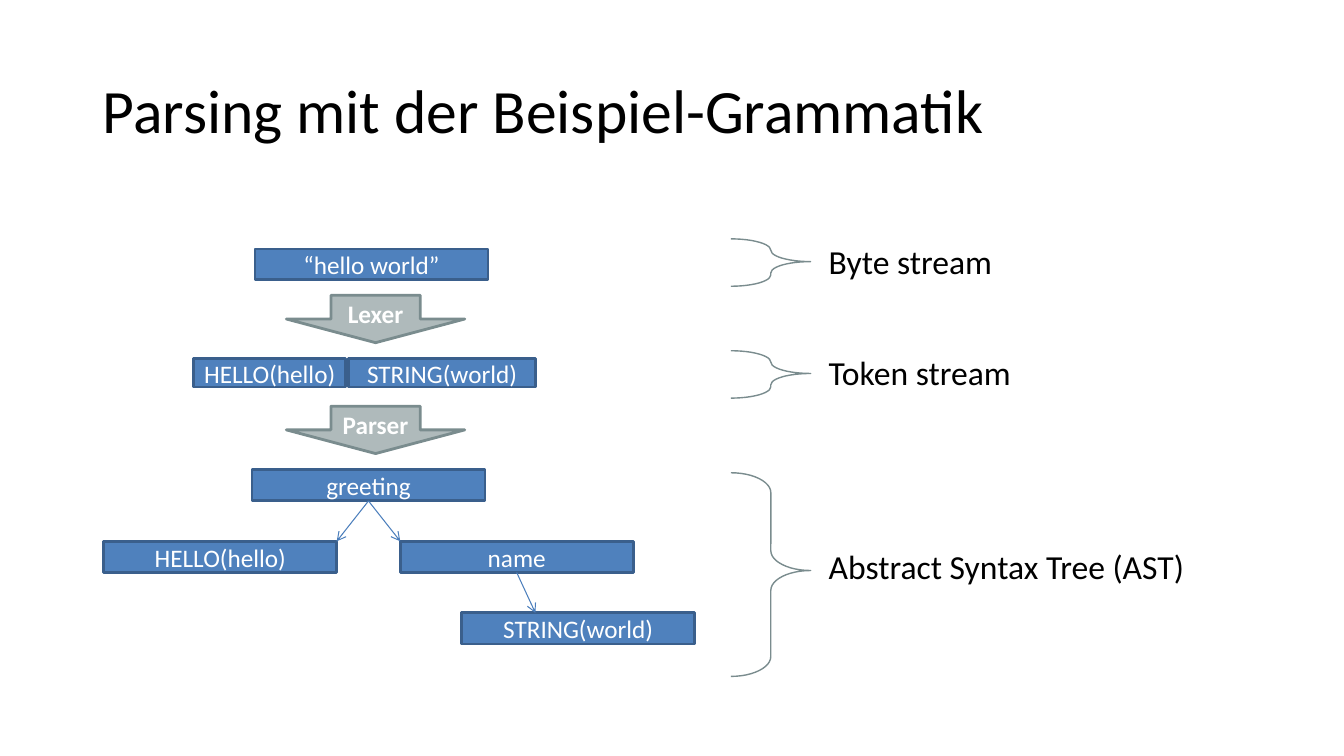
from dataclasses import dataclass

from lxml import etree
from pptx import Presentation
from pptx.dml.color import RGBColor
from pptx.enum.shapes import MSO_CONNECTOR, MSO_SHAPE
from pptx.enum.text import MSO_ANCHOR, PP_ALIGN
from pptx.oxml.ns import qn
from pptx.shapes.autoshape import Shape
from pptx.slide import Slide
from pptx.util import Inches, Pt

RECT = MSO_SHAPE.RECTANGLE
DOWN = MSO_SHAPE.DOWN_ARROW
BRACE = MSO_SHAPE.RIGHT_BRACE
STRAIGHT = MSO_CONNECTOR.STRAIGHT
TOP, MIDDLE = MSO_ANCHOR.TOP, MSO_ANCHOR.MIDDLE
LEFT, CENTER = PP_ALIGN.LEFT, PP_ALIGN.CENTER
BOTTOM_SITE = 2
COLS, ROWS = 133.3, 75
UNIT = Inches(0.1)


@dataclass(frozen=True)
class Theme:
    font: str = "Calibri"
    ink: str = "000000"
    white: str = "FFFFFF"
    blue: str = "4F81BD"
    navy: str = "3A5F8C"
    link: str = "4B7EBC"
    gray: str = "AFBABB"
    slate: str = "7A8C8E"
    title: int = 44
    label: int = 24
    node: int = 18
    edge: float = 2
    curve: float = 1
    thin: float = 0.75


@dataclass(frozen=True)
class Area:
    col: float
    row: float
    wide: float
    high: float


@dataclass(frozen=True)
class Node:
    text: str
    area: Area


@dataclass(frozen=True)
class Stage:
    text: str
    label: Area
    row: float
    high: float


@dataclass(frozen=True)
class Link:
    start: int
    col: float
    row: float


THEME = Theme()
WIDE, HIGH = 23.1, 3.1
LEVEL = 7.1
TREE = 46.6
HEAD = Area(9.2, 4, 115, 14.5)

TOKENS = [
    Node("“hello world”", Area(25.3, 24.7, WIDE, 3)),
    Node("HELLO(hello)", Area(19.2, 35.6, 15.1, 2.8)),
    Node("STRING(world)", Area(34.6, 35.6, 18.5, 2.8)),
]
LEAVES = [
    Node(text, Area(col, TREE + level * LEVEL, WIDE, HIGH))
    for text, col, level in [
        ("greeting", 25, 0),
        ("HELLO(hello)", 10.3, 1),
        ("name", 39.7, 1),
        ("STRING(world)", 45.8, 2),
    ]
]
LINKS = [
    Link(0, 33.4, TREE + LEVEL),
    Link(0, 39.7, TREE + LEVEL),
    Link(2, 53.1, TREE + 2 * LEVEL),
]
STEPS = [
    Node(text, Area(28.4, 29.3 + i * 11, 17.7, 4.7))
    for i, text in enumerate(["Lexer", "Parser"])
]
STAGES = [
    Stage("Byte stream", Area(81.2, 23.4, 31.8, 5), 23.7, 4.7),
    Stage("Token stream", Area(81.2, 34.4, 23.6, 5), 34.8, 4.7),
    Stage("Abstract Syntax Tree (AST)", Area(81.2, 53.7, 42.7, 5), 46.9, 20.2),
]


def span(units: float) -> int:
    return round(units * UNIT)


def frame(area: Area) -> tuple[int, int, int, int]:
    return span(area.col), span(area.row), span(area.wide), span(area.high)


def tint(code: str) -> RGBColor:
    return RGBColor.from_string(code)


def write(shape: Shape, text: str, *, size: int, color: str, bold: bool = False,
          align: PP_ALIGN = LEFT, anchor: MSO_ANCHOR = TOP,
          pitch: float = 1, inset: bool = True) -> None:
    body = shape.text_frame
    body.word_wrap = True
    body.vertical_anchor = anchor
    if not inset:
        body.margin_left = body.margin_right = 0
        body.margin_top = body.margin_bottom = 0
    para = body.paragraphs[0]
    para.text = text
    para.alignment = align
    para.line_spacing = pitch
    font = para.font
    font.name = THEME.font
    font.size = Pt(size)
    font.bold = bold
    font.color.rgb = tint(color)


def draw(slide: Slide, kind: MSO_SHAPE, area: Area, *, line: str,
         width: float, fill: str | None = None) -> Shape:
    shape = slide.shapes.add_shape(kind, *frame(area))
    shape.shadow.inherit = False
    if fill:
        shape.fill.solid()
        shape.fill.fore_color.rgb = tint(fill)
    else:
        shape.fill.background()
    shape.line.color.rgb = tint(line)
    shape.line.width = Pt(width)
    return shape


def box(slide: Slide, node: Node) -> Shape:
    shape = draw(slide, RECT, node.area, fill=THEME.blue, line=THEME.navy, width=THEME.edge)
    write(shape, node.text, size=THEME.node, color=THEME.white,
          align=CENTER, anchor=MIDDLE, inset=False)
    return shape


def step(slide: Slide, node: Node) -> None:
    shape = draw(slide, DOWN, node.area, fill=THEME.gray, line=THEME.slate, width=THEME.edge)
    write(shape, node.text, size=THEME.node, color=THEME.white, bold=True,
          align=CENTER, anchor=MIDDLE, inset=False)


def join(slide: Slide, start: Shape, link: Link) -> None:
    line = slide.shapes.add_connector(STRAIGHT, 0, 0, span(link.col), span(link.row))
    line.begin_connect(start, BOTTOM_SITE)
    line.line.color.rgb = tint(THEME.link)
    line.line.width = Pt(THEME.thin)
    props = line._element.spPr
    etree.SubElement(props.find(qn("a:ln")), qn("a:tailEnd"), type="arrow")
    etree.SubElement(props, qn("a:effectLst"))


def label(slide: Slide, stage: Stage) -> None:
    area = Area(72.5, stage.row, 7.9, stage.high)
    brace = draw(slide, BRACE, area, line=THEME.slate, width=THEME.curve)
    brace.adjustments[0] = 0.25
    brace.adjustments[1] = 0.48
    note = slide.shapes.add_textbox(*frame(stage.label))
    write(note, stage.text, size=THEME.label, color=THEME.ink)


def main() -> None:
    deck = Presentation()
    deck.slide_width, deck.slide_height = span(COLS), span(ROWS)
    slide = deck.slides.add_slide(deck.slide_layouts[6])
    title = slide.shapes.add_textbox(*frame(HEAD))
    write(title, "Parsing mit der Beispiel-Grammatik", size=THEME.title,
          color=THEME.ink, anchor=MIDDLE, pitch=0.9)
    for node in TOKENS:
        box(slide, node)
    tree = [box(slide, node) for node in LEAVES]
    for link in LINKS:
        join(slide, tree[link.start], link)
    for node in STEPS:
        step(slide, node)
    for stage in STAGES:
        label(slide, stage)
    deck.save("out.pptx")


if __name__ == "__main__":
    main()
